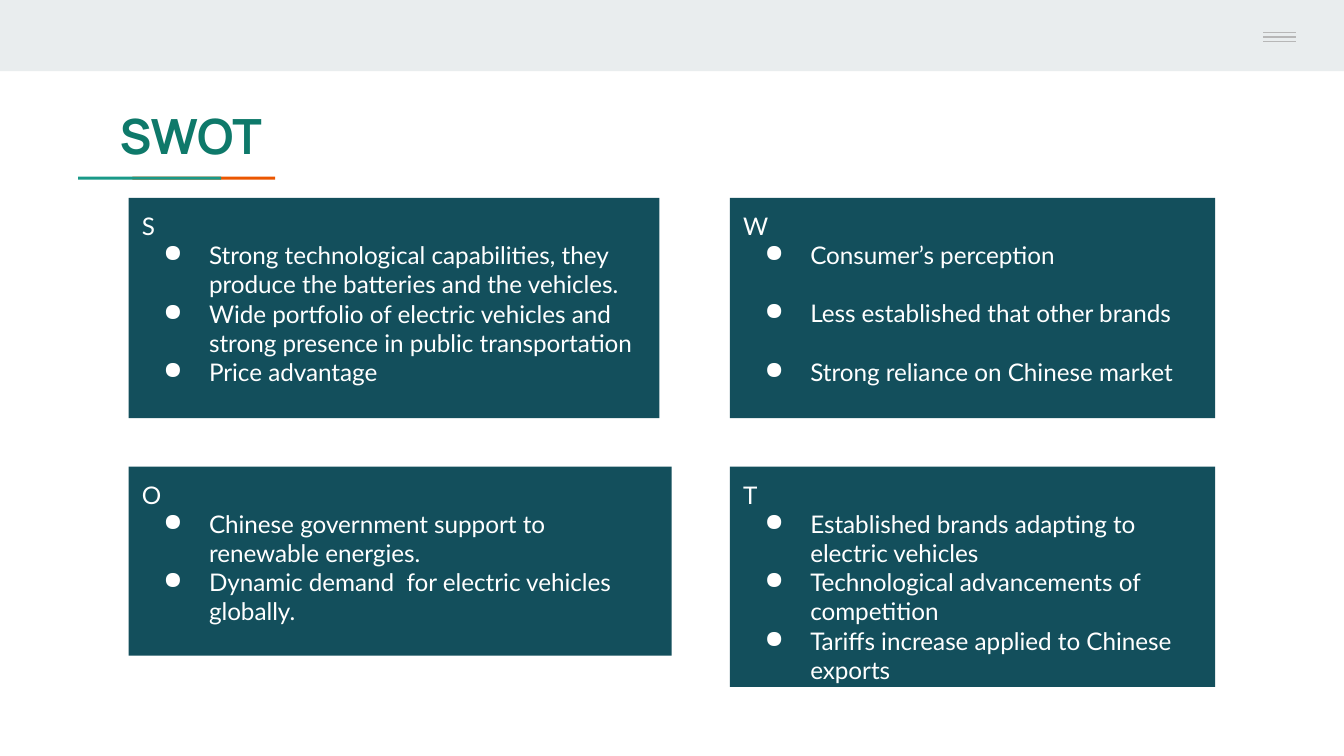
from dataclasses import dataclass

from lxml.etree import SubElement
from pptx import Presentation
from pptx.dml.color import RGBColor
from pptx.enum.shapes import MSO_CONNECTOR, MSO_SHAPE
from pptx.enum.text import MSO_ANCHOR, MSO_AUTO_SIZE, PP_ALIGN
from pptx.oxml.ns import qn
from pptx.util import Pt


@dataclass(frozen=True)
class Theme:
    header: str = "E9EDEE"
    menu: str = "B7B7B7"
    title: str = "0E796A"
    teal: str = "1A9988"
    orange: str = "EB5600"
    card: str = "134F5C"
    card_text: str = "FFFFFF"
    title_font: str = "Manrope"
    body_font: str = "Lato"
    title_size: float = 26
    body_size: float = 13


THEME = Theme()
INSET = 7.2
BULLET_MARGIN, BULLET_HANG = 36, 24.5
LEFT, RIGHT, TOP, BOTTOM = 68.9, 391, 106, 250
# letter, box (left, top, width, height), points, space between points
CARDS = [
    ("S", (LEFT, TOP, 284.4, 118), [
        "Strong technological capabilities, they produce the batteries and the vehicles.",
        "Wide portfolio of electric vehicles and strong presence in public transportation",
        "Price advantage"], 0),
    ("W", (RIGHT, TOP, 260, 118), [
        "Consumer’s perception",
        "Less established that other brands",
        "Strong reliance on Chinese market"], 15.6),
    ("O", (LEFT, BOTTOM, 291, 101.3), [
        "Chinese government support to renewable energies.",
        "Dynamic demand  for electric vehicles globally."], 0),
    ("T", (RIGHT, BOTTOM, 260, 118), [
        "Established brands adapting to electric vehicles",
        "Technological advancements of competition",
        "Tariffs increase applied to Chinese exports"], 0),
]


def add_rectangle(page, box, color):
    shape = page.shapes.add_shape(MSO_SHAPE.RECTANGLE, *map(Pt, box))
    shape.shadow.inherit = False
    shape.fill.solid()
    shape.fill.fore_color.rgb = RGBColor.from_string(color)
    shape.line.fill.background()
    return shape


def prepare_frame(frame):
    frame.word_wrap = True
    frame.auto_size = MSO_AUTO_SIZE.NONE
    frame.vertical_anchor = MSO_ANCHOR.TOP
    frame.margin_left = frame.margin_right = Pt(INSET)
    frame.margin_top = frame.margin_bottom = Pt(INSET)


def write(para, text, *, font, size, color, bold=False, bullet=False, before=0):
    para.alignment = PP_ALIGN.LEFT
    para.line_spacing = 1.0
    para.space_before = Pt(before)
    if bullet:
        props = para._p.get_or_add_pPr()
        props.set("marL", str(Pt(BULLET_MARGIN)))
        props.set("indent", str(-Pt(BULLET_HANG)))
        bullet_color = SubElement(props, qn("a:buClr"))
        SubElement(bullet_color, qn("a:srgbClr")).set("val", color)
        SubElement(props, qn("a:buChar")).set("char", "●")
    span = para.add_run()
    span.text = text
    span.font.name = font
    span.font.size = Pt(size)
    span.font.bold = bold
    span.font.color.rgb = RGBColor.from_string(color)


def add_header(page, box):
    """Draw the top band with its three-line menu icon."""
    left, top, width, height = box
    add_rectangle(page, box, THEME.header)
    menu_left, menu_width, menu_gap = left + width - 43.2, 17.3, 2.5
    for row in range(3):
        y = top + 17.3 + row * menu_gap
        line = page.shapes.add_connector(
            MSO_CONNECTOR.STRAIGHT,
            Pt(menu_left), Pt(y), Pt(menu_left + menu_width), Pt(y))
        line.line.color.rgb = RGBColor.from_string(THEME.menu)
        line.line.width = Pt(0.75)
        SubElement(line._element.spPr, qn("a:effectLst"))


def add_title(page, box, text):
    """Fill the title placeholder and underline it with two overlapping bars."""
    left, top, width, height = box
    title = page.shapes.title
    title.left, title.top, title.width, title.height = map(Pt, box)
    prepare_frame(title.text_frame)
    write(title.text_frame.paragraphs[0], text, font=THEME.title_font,
          size=THEME.title_size, color=THEME.title, bold=True)
    bar_left, bar_top = left - 15, top + height - 0.4
    for offset, color in ((29, THEME.orange), (0, THEME.teal)):
        add_rectangle(page, (bar_left + offset, bar_top, 76.6, 1.6), color)


def add_card(page, box, letter, points, gap):
    frame = add_rectangle(page, box, THEME.card).text_frame
    prepare_frame(frame)
    style = dict(font=THEME.body_font, size=THEME.body_size, color=THEME.card_text)
    write(frame.paragraphs[0], letter, **style)
    for index, point in enumerate(points):
        write(frame.add_paragraph(), point, bullet=True,
              before=gap if index else 0, **style)


def main():
    deck = Presentation()
    deck.slide_width, deck.slide_height = Pt(720), Pt(405)
    page = deck.slides.add_slide(deck.slide_layouts[5])
    add_header(page, (0, 0, 720, 38.2))
    add_title(page, (56.9, 49.7, 260, 45.4), "SWOT")
    for letter, box, points, gap in CARDS:
        add_card(page, box, letter, points, gap)
    deck.save("out.pptx")


if __name__ == "__main__":
    main()
